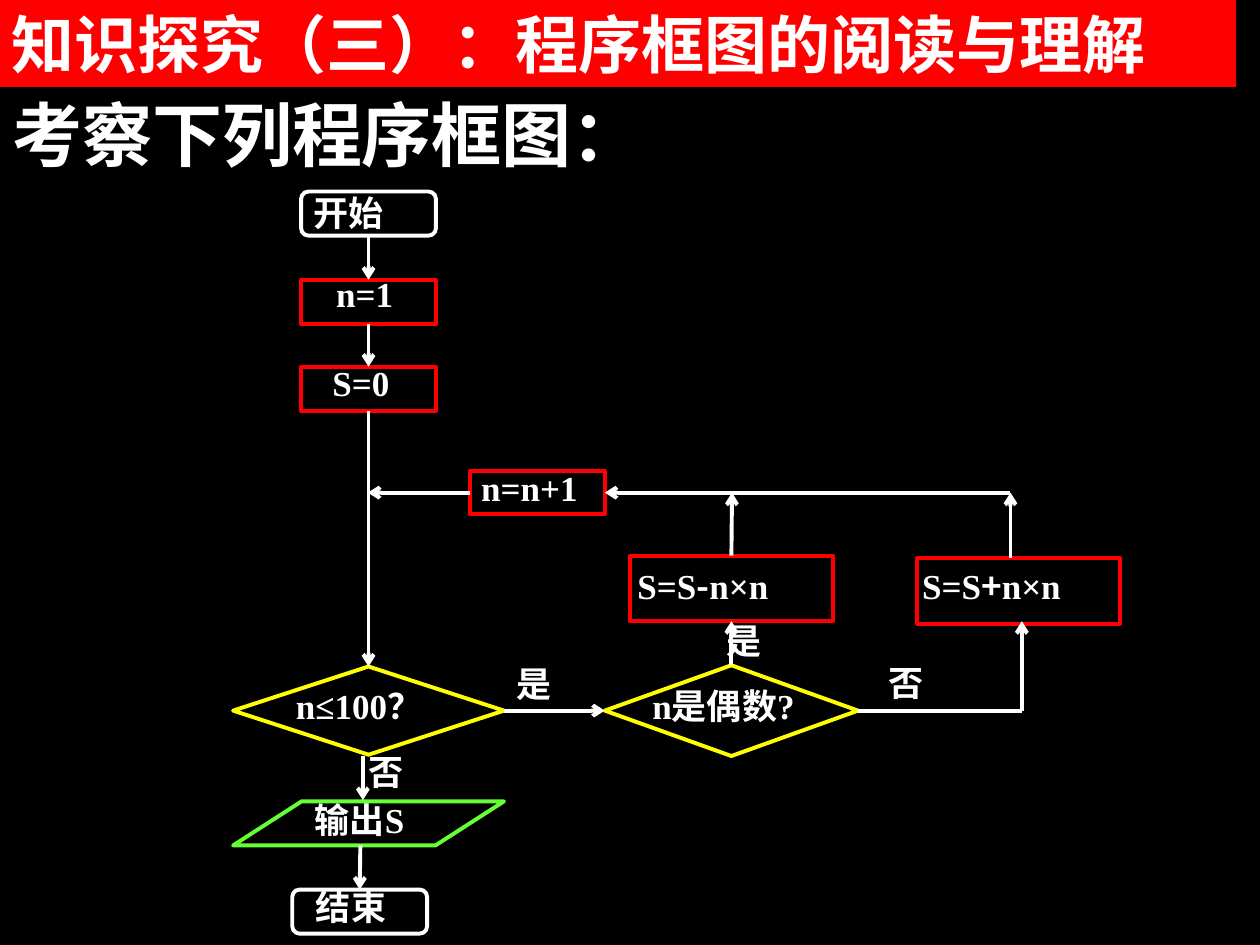
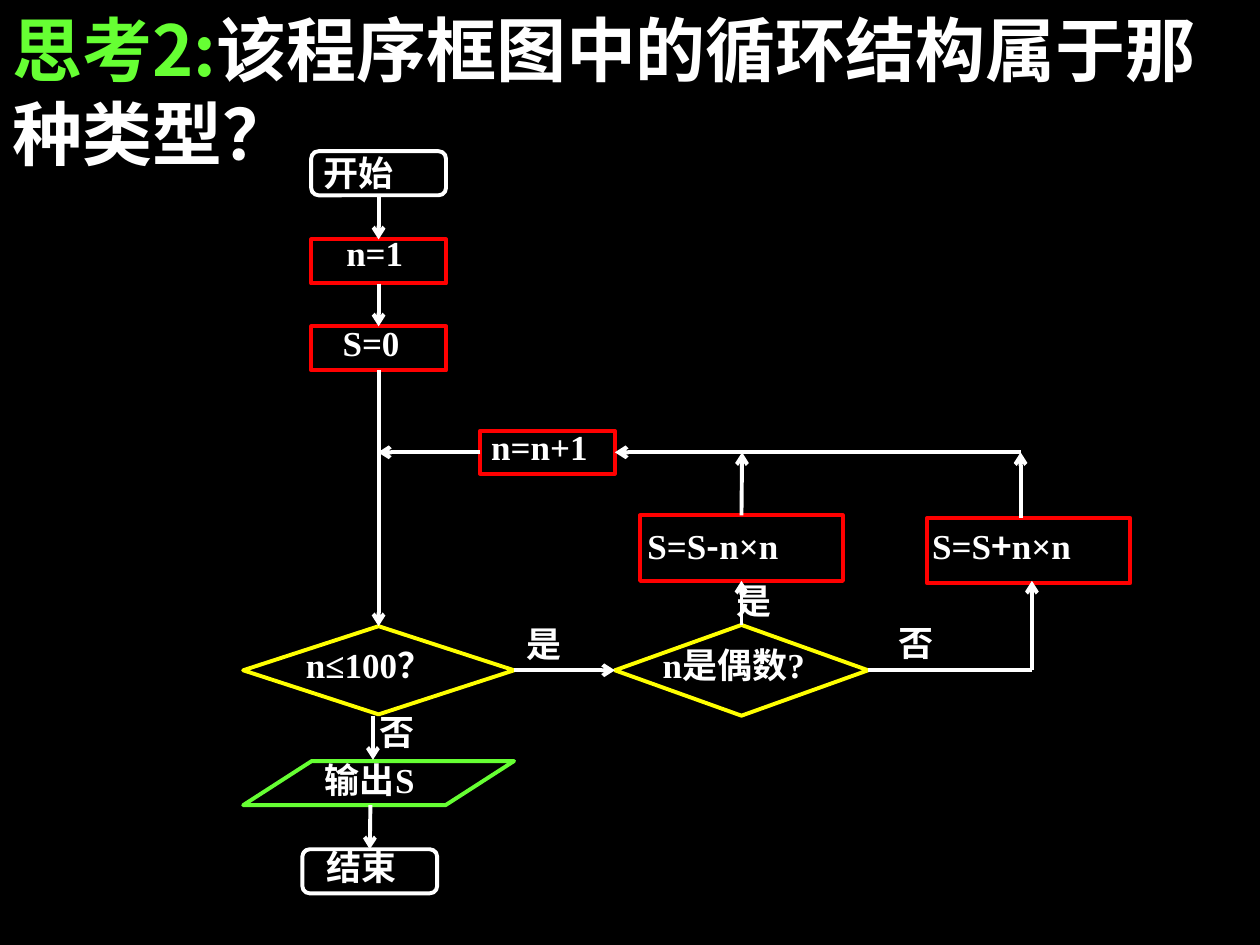
from lxml import etree
from pptx import Presentation
from pptx.dml.color import RGBColor
from pptx.enum import shapes, text
from pptx.oxml.ns import qn
from pptx.util import Inches, Pt

COLORS = {"black": "000000", "white": "FFFFFF", "red": "FF0000",
          "yellow": "FFFF00", "green": "66FF33"}
CJK, SERIF, SANS = "Noto Sans CJK SC", "Times New Roman", "Arial"
LINE_WIDTH = 2.25

NODES = {
    "start": ("ROUNDED_RECTANGLE", "white", (0.54, 0.05, 1.07, 0.35)),
    "end": ("ROUNDED_RECTANGLE", "white", (0.47, 5.59, 1.07, 0.35)),
    "set_n": ("RECTANGLE", "red", (0.54, 0.75, 1.07, 0.35)),
    "set_s": ("RECTANGLE", "red", (0.54, 1.44, 1.07, 0.35)),
    "limit": ("DIAMOND", "yellow", (0, 3.82, 2.15, 0.7)),
    "even": ("DIAMOND", "yellow", (2.95, 3.81, 2.01, 0.72)),
    "output": ("PARALLELOGRAM", "green", (0, 4.89, 2.15, 0.35)),
    "subtract": ("RECTANGLE", "red", (3.15, 2.94, 1.61, 0.52)),
    "add": ("RECTANGLE", "red", (5.43, 2.96, 1.61, 0.52)),
    "next_n": ("RECTANGLE", "red", (1.88, 2.27, 1.07, 0.34)),
}
ADJUSTMENTS = {"ROUNDED_RECTANGLE": 0.167, "PARALLELOGRAM": 1.554}

LABELS = [
    (["开始"], 0.54, 0, 1.34),
    (["n≤100？"], 0.4, 3.91, 1.44),
    (["n=1"], 0.72, 0.64, 0.87),
    (["S=0"], 0.69, 1.35, 0.88),
    (["n是偶数?"], 3.23, 3.91, 1.58),
    (["S=S", "-", "n×n"], 3.11, 2.96, 1.88),
    (["S=S", "+", "n×n"], 5.37, 2.96, 1.88),
    (["n=n+1"], 1.87, 2.18, 1.02),
    (["输出S"], 0.55, 4.82, 1.18),
    (["结束"], 0.56, 5.51, 0.97),
    (["是"], 2.15, 3.74, 1.07),
    (["是"], 3.82, 3.4, 1.19),
    (["否"], 5.1, 3.73, 0.65),
    (["否"], 0.98, 4.44, 0.58),
]

TOP, LEFT, BOTTOM, RIGHT = range(4)
FLOWS = [
    (("start", BOTTOM), ("set_n", TOP), True),
    (("set_n", BOTTOM), ("set_s", TOP), True),
    (("set_s", BOTTOM), ("limit", TOP), True),
    ((1.03, 4.53), (1.03, 4.88), True),
    ((1.01, 5.24), ("end", TOP), True),
    (("limit", RIGHT), ("even", LEFT), True),
    (("even", TOP), ("subtract", BOTTOM), True),
    (("even", RIGHT), (6.26, 4.17), False),
    ((6.26, 4.17), (6.26, 3.46), True),
    ((6.17, 2.44), ("next_n", RIGHT), True),
    ((6.17, 2.96), (6.17, 2.44), True),
    (("subtract", TOP), (3.96, 2.44), True),
    (("next_n", LEFT), (1.07, 2.44), True),
]


def rgb(name):
    """Return a palette colour."""
    return RGBColor.from_string(COLORS[name])


def add_run(p, content, size, font, color="white"):
    """Add a bold run with Latin and East Asian fonts."""
    r = p.add_run()
    r.text = content
    r.font.size, r.font.bold, r.font.name = Pt(size), True, font
    r.font.color.rgb = rgb(color)
    ea = etree.Element(qn("a:ea"), typeface=CJK)
    r.font._element.find(qn("a:latin")).addnext(ea)


def prepare_text(sp, align):
    """Set the shared frame format and return its first paragraph."""
    tf = sp.text_frame
    tf.word_wrap = True
    tf.auto_size = text.MSO_AUTO_SIZE.NONE
    tf.vertical_anchor = text.MSO_ANCHOR.TOP
    p = tf.paragraphs[0]
    p.alignment = align
    p.space_before = Pt(0)
    return p


def place(sp, box):
    """Move and size a shape in inches."""
    sp.left, sp.top, sp.width, sp.height = map(Inches, box)


def add_slide(prs, box, runs, size, font):
    """Add a black slide with a left-aligned title."""
    s = prs.slides.add_slide(prs.slide_layouts[5])
    s.background.fill.solid()
    s.background.fill.fore_color.rgb = rgb("black")
    place(s.shapes.title, box)
    p = prepare_text(s.shapes.title, text.PP_ALIGN.LEFT)
    for content, color in runs:
        add_run(p, content, size, font, color)
    return s


def add_node(group, kind, color, box):
    """Add an outlined flowchart node."""
    sp = group.shapes.add_shape(getattr(shapes.MSO_SHAPE, kind), *map(Inches, box))
    sp.shadow.inherit = False
    sp.fill.background()
    sp.line.color.rgb = rgb(color)
    sp.line.width = Pt(LINE_WIDTH)
    if kind in ADJUSTMENTS:
        sp.adjustments[0] = ADJUSTMENTS[kind]
    return sp


def add_label(group, parts, box):
    """Add a flowchart label whose lone operators use the CJK font."""
    sp = group.shapes.add_textbox(*map(Inches, box))
    p = prepare_text(sp, text.PP_ALIGN.JUSTIFY)
    for part in parts:
        add_run(p, part, 20, CJK if part in "+-" else SERIF)


def add_flow(group, nodes, origin, start, end, arrow):
    """Add a line between node sides or points of the flowchart."""
    def point(stop):
        """Return the slide position of a free end."""
        return [Inches(o + v) for o, v in zip(origin, stop)]

    free = [(0, 0) if stop[0] in nodes else point(stop) for stop in (start, end)]
    cn = group.shapes.add_connector(shapes.MSO_CONNECTOR.STRAIGHT, *free[0], *free[1])
    for stop, connect in ((start, cn.begin_connect), (end, cn.end_connect)):
        if stop[0] in nodes:
            connect(nodes[stop[0]], stop[1])
    cn.line.color.rgb = rgb("white")
    cn.line.width = Pt(LINE_WIDTH)
    if arrow:
        etree.SubElement(cn.line._get_or_add_ln(), qn("a:tailEnd"), type="arrow")
    etree.SubElement(cn._element.spPr, qn("a:effectLst"))


def add_flowchart(s, left, top):
    """Draw the summation flowchart from its top left corner."""
    group = s.shapes.add_group_shape()
    nodes = {name: add_node(group, kind, color, (left + x, top + y, w, h))
             for name, (kind, color, (x, y, w, h)) in NODES.items()}
    for parts, x, y, w in LABELS:
        add_label(group, parts, (left + x, top + y, w, 0.52))
    for flow in FLOWS:
        add_flow(group, nodes, (left, top), *flow)


def build_reading_slide(prs):
    """Build the slide that introduces the flowchart."""
    s = add_slide(prs, (-0.01, -0.01, 9.82, 0.7),
                  [("知识探究（三）：程序框图的阅读与理解", "white")], 36, SANS)
    s.shapes.title.fill.solid()
    s.shapes.title.fill.fore_color.rgb = rgb("red")
    sp = s.shapes.add_textbox(*map(Inches, (0, 0.68, 7.13, 0.77)))
    add_run(prepare_text(sp, text.PP_ALIGN.LEFT), "考察下列程序框图：", 40, SANS)
    add_flowchart(s, 1.85, 1.47)


def build_question_slide(prs):
    """Build the slide that asks about the loop type."""
    s = add_slide(prs, (0, 0, 10, 1.44),
                  [("思考2:", "green"),
                   ("该程序框图中的循环结构属于那种类型？", "white")], 40, CJK)
    add_flowchart(s, 1.93, 1.15)


def main():
    """Build and save the presentation."""
    prs = Presentation()
    prs.slide_width, prs.slide_height = Inches(10), Inches(7.5)
    build_reading_slide(prs)
    build_question_slide(prs)
    prs.save("out.pptx")


if __name__ == "__main__":
    main()
